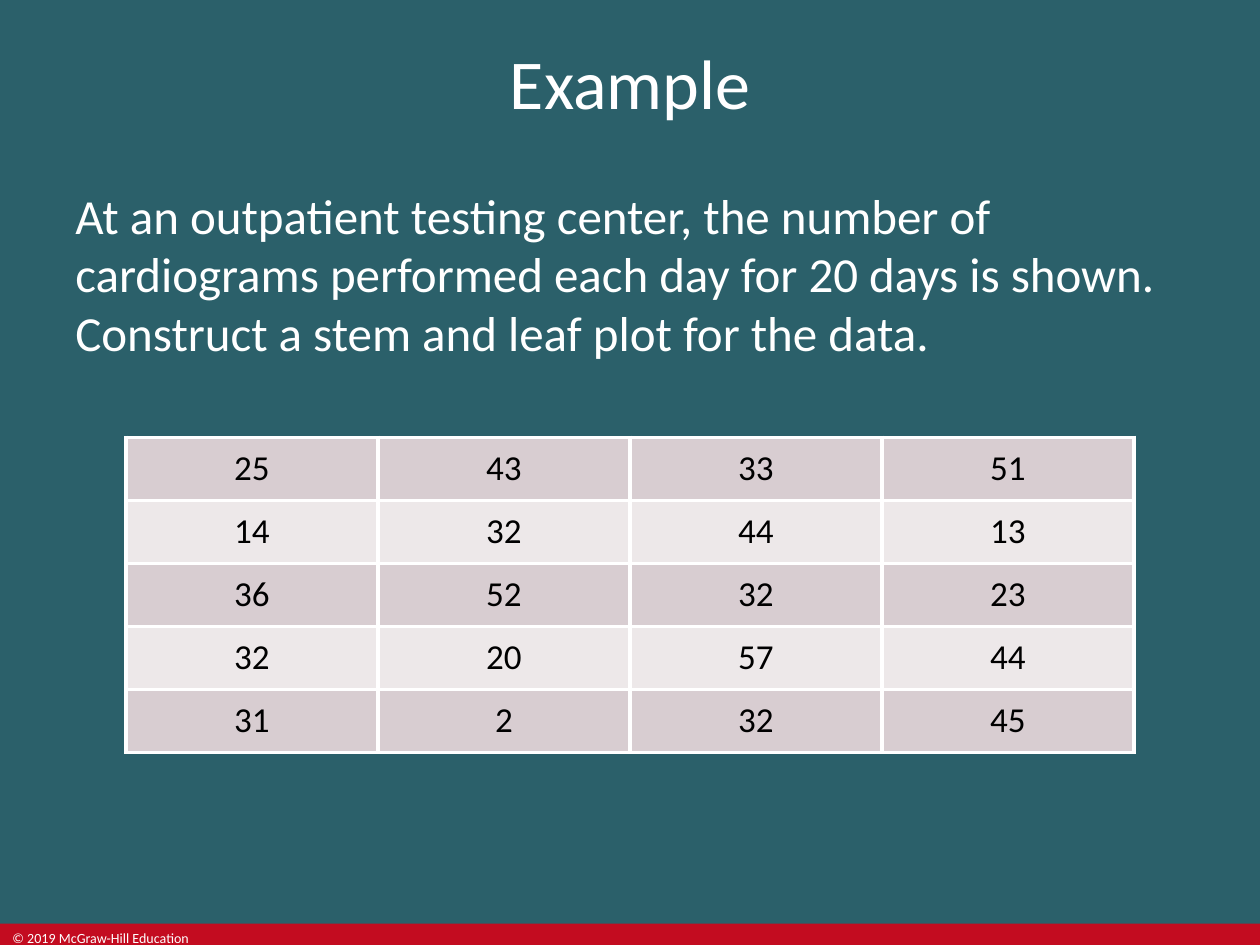
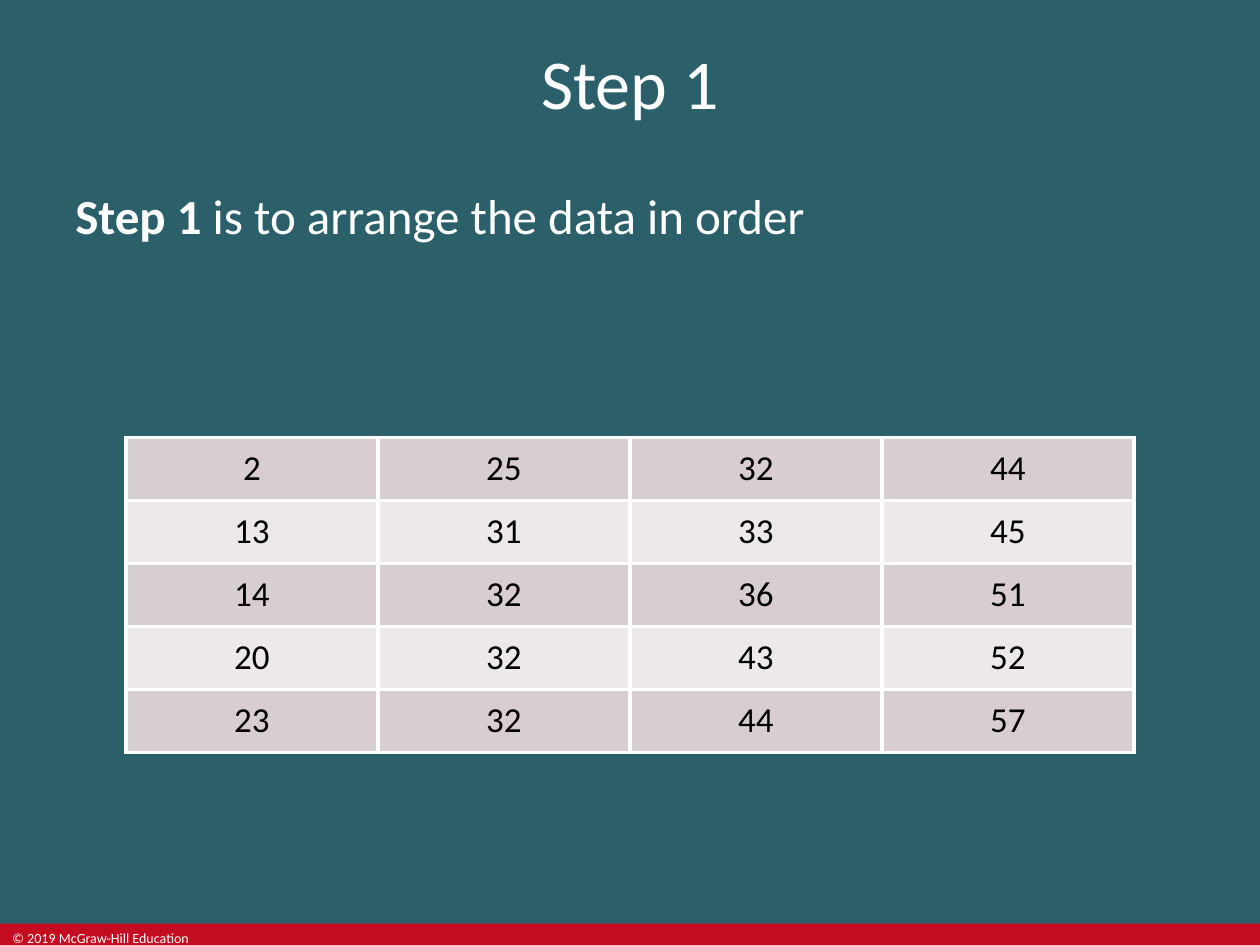
from itertools import chain

from lxml import etree
from pptx import Presentation
from pptx.dml.color import RGBColor
from pptx.enum.shapes import MSO_SHAPE
from pptx.enum.text import MSO_ANCHOR, PP_ALIGN
from pptx.oxml.ns import qn
from pptx.util import Pt

RECTANGLE = MSO_SHAPE.RECTANGLE
TOP, MIDDLE = MSO_ANCHOR.TOP, MSO_ANCHOR.MIDDLE
LEFT, CENTER = PP_ALIGN.LEFT, PP_ALIGN.CENTER

TEAL = RGBColor(0x2B, 0x60, 0x6A)
RED = RGBColor(0xC3, 0x0C, 0x20)
WHITE = RGBColor(0xFF, 0xFF, 0xFF)
BLACK = RGBColor(0x00, 0x00, 0x00)
ROW_FILLS = [RGBColor(0xD8, 0xCD, 0xD1), RGBColor(0xED, 0xE8, 0xE9)]

FONT = "Calibri"
PAGE_WIDTH, PAGE_HEIGHT = 720, 540
BORDER_WIDTH = 2.25

TITLE_BOX = (0, 0, PAGE_WIDTH, 93.6)
BODY_BOX = (36, 102.24, 648, 120.24)
TABLE_BOX = (72, 249.84, 576, 180)
FOOTER_BOX = (0, 527.76, PAGE_WIDTH, 12.24)
COPYRIGHT_WIDTH = 122.4

CARDIOGRAMS = [
    [25, 43, 33, 51],
    [14, 32, 44, 13],
    [36, 52, 32, 23],
    [32, 20, 57, 44],
    [31, 2, 32, 45],
]


def write_text(frame, spans, size, color=WHITE, align=LEFT):
    para = frame.paragraphs[0]
    para.alignment = align
    for text, bold in spans:
        span = para.add_run()
        span.text = text
        span.font.name = FONT
        span.font.size = Pt(size)
        span.font.bold = bold
        span.font.color.rgb = color


def add_text(page, box, spans, size, align=LEFT, anchor=TOP):
    frame = page.shapes.add_textbox(*map(Pt, box)).text_frame
    frame.word_wrap = True
    frame.vertical_anchor = anchor
    write_text(frame, spans, size, align=align)


def add_footer(page, box):
    left, top, width, height = box
    band = page.shapes.add_shape(RECTANGLE, *map(Pt, box))
    band.shadow.inherit = False
    band.fill.solid()
    band.fill.fore_color.rgb = RED
    band.line.fill.background()
    add_text(page, (left, top, COPYRIGHT_WIDTH, height),
             [("© 2019 McGraw-Hill Education", False)], 8)


def add_borders(cell, color, width):
    properties = cell._tc.get_or_add_tcPr()
    for side in ("a:lnL", "a:lnR", "a:lnT", "a:lnB"):
        line = etree.SubElement(properties, qn(side), w=str(Pt(width)))
        fill = etree.SubElement(line, qn("a:solidFill"))
        etree.SubElement(fill, qn("a:srgbClr"), val=str(color))


def add_number_table(page, box, rows):
    width, height = box[2:]
    row_count, column_count = len(rows), len(rows[0])
    table = page.shapes.add_table(row_count, column_count, *map(Pt, box)).table
    table.first_row = False
    table.horz_banding = False
    for column in table.columns:
        column.width = Pt(width / column_count)
    for row_index, numbers in enumerate(rows):
        table.rows[row_index].height = Pt(height / row_count)
        for column_index, number in enumerate(numbers):
            cell = table.cell(row_index, column_index)
            add_borders(cell, WHITE, BORDER_WIDTH)
            cell.fill.solid()
            cell.fill.fore_color.rgb = ROW_FILLS[row_index % 2]
            cell.vertical_anchor = MIDDLE
            write_text(cell.text_frame, [(str(number), False)], 20, BLACK, CENTER)


def add_data_page(deck, title, body, rows):
    page = deck.slides.add_slide(deck.slide_layouts[6])
    page.background.fill.solid()
    page.background.fill.fore_color.rgb = TEAL
    add_footer(page, FOOTER_BOX)
    add_text(page, TITLE_BOX, [(title, False)], 40, CENTER, MIDDLE)
    add_text(page, BODY_BOX, body, 28)
    add_number_table(page, TABLE_BOX, rows)


def sort_down_columns(rows):
    ordered = sorted(chain.from_iterable(rows))
    return [ordered[start::len(rows)] for start in range(len(rows))]


def main():
    deck = Presentation()
    deck.slide_width, deck.slide_height = Pt(PAGE_WIDTH), Pt(PAGE_HEIGHT)
    question = ("At an outpatient testing center, the number of cardiograms "
                "performed each day for 20 days is shown. "
                "Construct a stem and leaf plot for the data.")
    add_data_page(deck, "Example", [(question, False)], CARDIOGRAMS)
    add_data_page(deck, "Step 1",
                  [("Step 1 ", True), ("is to arrange the data in order", False)],
                  sort_down_columns(CARDIOGRAMS))
    deck.save("out.pptx")


if __name__ == "__main__":
    main()
